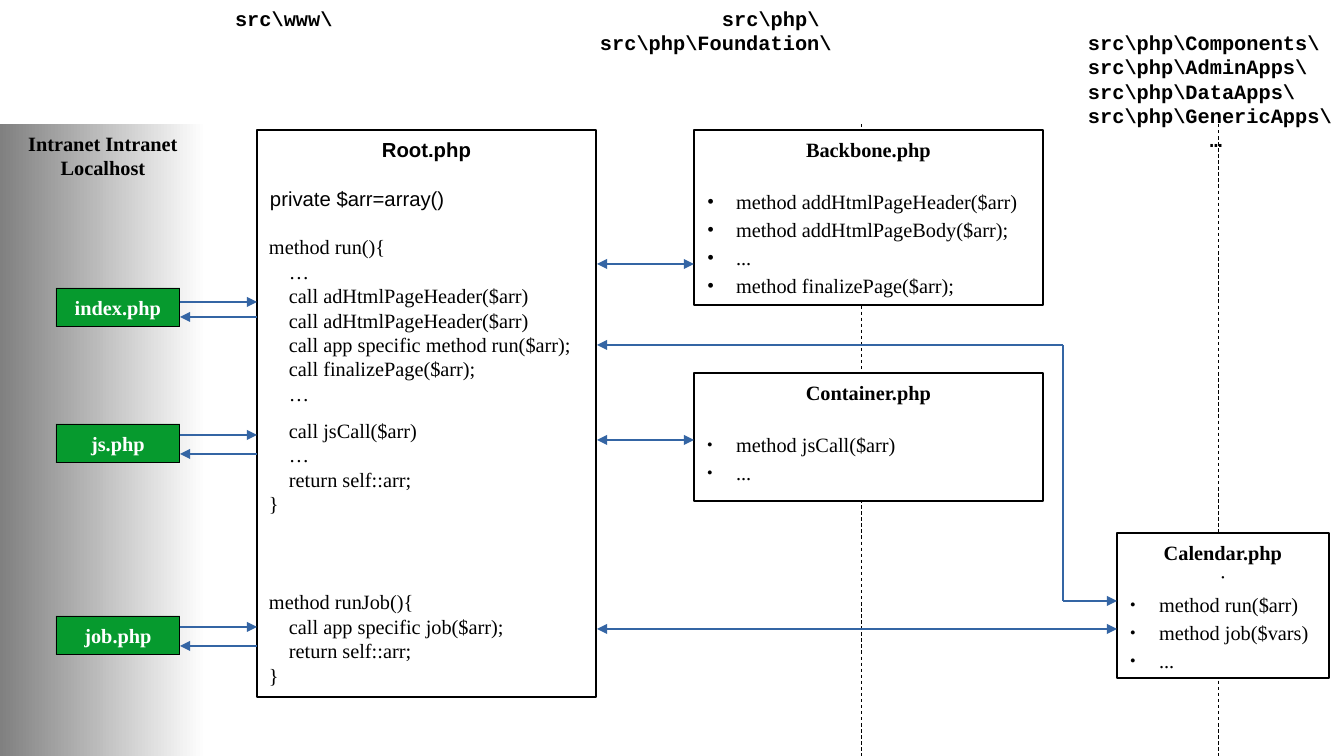
from lxml.etree import SubElement
from pptx import Presentation
from pptx.dml.color import RGBColor
from pptx.enum.dml import MSO_LINE
from pptx.enum.shapes import MSO_CONNECTOR as LINK, MSO_SHAPE as SHAPE
from pptx.enum.text import MSO_ANCHOR as ANCHOR, MSO_AUTO_SIZE as FIT, PP_ALIGN as ALIGN
from pptx.oxml.ns import qn
from pptx.util import Emu, Pt

PX = 914400 / 122
SERIF, SANS, MONO = "Times New Roman", "Arial", "Courier New"
BLACK, WHITE, GREEN, GRAY, BLUE = "000000", "FFFFFF", "069A2E", "808080", "3465A4"
PITCH, LIST_PITCH = 14.4, 16.5

FOLDERS = [
    ((235, 0, 122, 36), [(0, "src\\www\\")]),
    ((600, 0, 256, 60), [(122, "src\\php\\"), (0, "src\\php\\Foundation\\")]),
    ((1088, 24, 256, 134), [
        (0, "src\\php\\Components\\"), (0, "src\\php\\AdminApps\\"),
        (0, "src\\php\\DataApps\\"), (0, "src\\php\\GenericApps\\"), (122, "…")]),
]
ENTRIES = [
    ("index.php", 288, 302, 317),
    ("js.php", 424, 435, 454),
    ("job.php", 616, 627, 646),
]
CODE = [
    (223, 194, [(0, "method run(){"), (1, "…"), (1, "call adHtmlPageHeader($arr)"),
                (1, "call adHtmlPageHeader($arr)"), (1, "call app specific method run($arr);"),
                (1, "call finalizePage($arr);"), (1, "…")]),
    (403, 128, [(1, "call jsCall($arr)"), (1, "…"), (1, "return self::arr;"), (0, "}")]),
    (586, 105, [(0, "method runJob(){"), (1, "call app specific job($arr);"),
                (1, "return self::arr;"), (0, "}")]),
]
CLASSES = [
    ("Backbone.php", (694, 130, 349, 175), ("•", 100), None,
     ["method addHtmlPageHeader($arr)", "method addHtmlPageBody($arr);", "...",
      "method finalizePage($arr);"]),
    ("Container.php", (694, 373, 349, 128), ("●", 45), None, ["method jsCall($arr)", "..."]),
    ("Calendar.php", (1117, 533, 212, 145), ("●", 45), "·",
     ["method run($arr)", "method job($vars)", "..."]),
]


def px(length):
    return Emu(round(length * PX))


def color(code):
    return RGBColor.from_string(code)


def apply(target, values):
    for name, value in values.items():
        setattr(target, name, value)


def place(box, area):
    apply(box, dict(zip(("left", "top", "width", "height"), map(px, area))))


def set_frame(box, anchor=ANCHOR.TOP, side=13, edge=7):
    apply(box.text_frame, {
        "auto_size": FIT.NONE, "word_wrap": True, "vertical_anchor": anchor,
        "margin_left": px(side), "margin_right": px(side),
        "margin_top": px(edge), "margin_bottom": px(edge)})


def paint(box, fill=WHITE, line=BLACK, width=1.5):
    box.fill.solid()
    box.fill.fore_color.rgb = color(fill)
    box.line.color.rgb = color(line)
    box.line.width = Pt(width)


def add_para(box, text, font=SERIF, bold=False, ink=BLACK, align=ALIGN.LEFT,
             indent=0, before=0, pitch=PITCH, bullet=None):
    para = box.text_frame.paragraphs[0]
    if para.runs:
        para = box.text_frame.add_paragraph()
    apply(para, {"alignment": align, "line_spacing": Pt(pitch),
                 "space_before": Pt(before), "space_after": Pt(0)})
    props = para._p.get_or_add_pPr()
    props.set("marL", str(px(indent)))
    props.set("indent", str(px(-indent if bullet else 0)))
    if bullet:
        mark, percent = bullet
        SubElement(props, qn("a:buSzPct"), val=str(percent * 1000))
        SubElement(props, qn("a:buFont"), typeface=SERIF)
        SubElement(props, qn("a:buChar"), char=mark)
    else:
        SubElement(props, qn("a:buNone"))
    span = para.add_run()
    span.text = text
    apply(span.font, {"name": font, "size": Pt(12), "bold": bold})
    span.font.color.rgb = color(ink)


def add_box(page, area):
    box = page.shapes.add_shape(SHAPE.RECTANGLE, *map(px, area))
    box.shadow.inherit = False
    return box


def add_text(page, area):
    return page.shapes.add_textbox(*map(px, area))


def add_line(page, start, end, ink=BLUE, width=0.79, head=False, tail=False, dash=None):
    link = page.shapes.add_connector(LINK.STRAIGHT, *map(px, start + end))
    link.line.color.rgb = color(ink)
    apply(link.line, {"width": Pt(width), "dash_style": dash})
    outline = link.line._get_or_add_ln()
    for name, wanted in (("a:headEnd", head), ("a:tailEnd", tail)):
        if wanted:
            SubElement(outline, qn(name), type="triangle")
    SubElement(link._element.spPr, qn("a:effectLst"))
    return link


def add_dividers(page):
    for x in (861, 1218):
        divider = add_line(page, (x, 124), (x, 756), BLACK, 0.5, dash=MSO_LINE.DASH)
        page.shapes._spTree.insert(2, divider._element)


def fill_heading(heading, area, lines):
    place(heading, area)
    set_frame(heading, side=0, edge=6)
    for indent, folder in lines:
        add_para(heading, folder, MONO, True, indent=indent)


def fill_class(body, name, area, bullet, lead, methods):
    place(body, area)
    paint(body)
    set_frame(body)
    add_para(body, name, bold=True, align=ALIGN.CENTER)
    if lead:
        add_para(body, lead, align=ALIGN.CENTER)
    for index, method in enumerate(methods):
        gap = PITCH if index == 0 and not lead else 0
        add_para(body, method, indent=29, before=gap, pitch=LIST_PITCH, bullet=bullet)


def add_sidebar(page):
    sidebar = add_box(page, (0, 124, 206, 632))
    sidebar.line.fill.background()
    sidebar.fill.gradient()
    sidebar.fill.gradient_angle = 0
    for stop, shade in zip(sidebar.fill.gradient_stops, (GRAY, WHITE)):
        stop.color.rgb = color(shade)
    set_frame(sidebar)
    for text in ("Intranet Intranet", "Localhost"):
        add_para(sidebar, text, bold=True, align=ALIGN.CENTER)


def add_root(page):
    root = add_box(page, (257, 130, 339, 567))
    paint(root)
    set_frame(root)
    add_para(root, "Root.php", SANS, True, align=ALIGN.CENTER)
    add_para(root, "private $arr=array()", SANS, before=PITCH)
    for top, height, lines in CODE:
        code = add_text(page, (257, top, 339, height))
        set_frame(code, ANCHOR.MIDDLE, 12, 6)
        for level, text in lines:
            add_para(code, text, indent=20 * level)


def add_entry(page, name, top, call_y, reply_y):
    entry = add_box(page, (56, top, 124, 39))
    paint(entry, GREEN, width=0.5)
    set_frame(entry, ANCHOR.MIDDLE, 12, 6)
    add_para(entry, name, bold=True, ink=WHITE, align=ALIGN.CENTER)
    add_line(page, (180, call_y), (257, call_y), tail=True)
    add_line(page, (180, reply_y), (257, reply_y), head=True)


def add_class_links(page):
    for y, right in ((264, 694), (440, 694), (629, 1117)):
        add_line(page, (597, y), (right, y), head=True, tail=True)
    add_line(page, (597, 345), (1063, 345), head=True)
    add_line(page, (1063, 345), (1063, 601))
    add_line(page, (1063, 601), (1117, 601), tail=True)


def main():
    deck = Presentation()
    apply(deck, {"slide_width": px(1344), "slide_height": px(756)})
    page = deck.slides.add_slide(deck.slide_layouts[4])
    title, *bodies = list(page.placeholders)
    spare = bodies.pop()
    spare._element.getparent().remove(spare._element)
    for body, content in zip(bodies, CLASSES):
        fill_class(body, *content)
    add_dividers(page)
    add_sidebar(page)
    headings = [title] + [add_text(page, area) for area, _ in FOLDERS[1:]]
    for heading, content in zip(headings, FOLDERS):
        fill_heading(heading, *content)
    add_root(page)
    for entry in ENTRIES:
        add_entry(page, *entry)
    add_class_links(page)
    deck.save("out.pptx")


if __name__ == "__main__":
    main()
